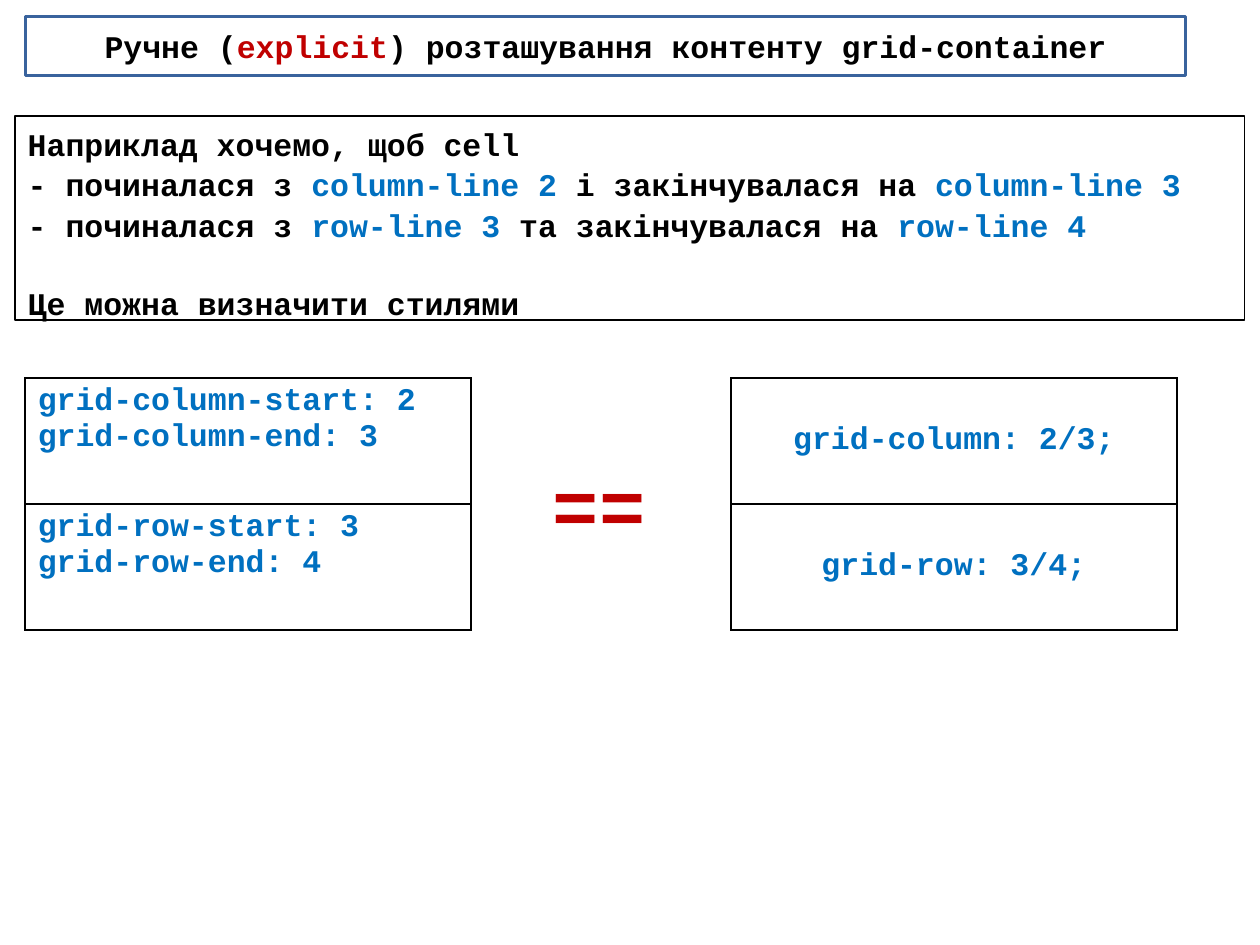
"""Build a slide on explicit placement of content in a CSS grid container."""
import lxml.etree
import pptx
import pptx.dml.color
import pptx.enum.text
import pptx.oxml.ns
import pptx.util

Inches = pptx.util.Inches
Pt = pptx.util.Pt
ALIGN = pptx.enum.text.PP_ALIGN
ANCHOR = pptx.enum.text.MSO_ANCHOR
qn = pptx.oxml.ns.qn

COLORS = {
    "black": "000000",
    "blue": "0070C0",
    "red": "C00000",
    "white": "FFFFFF",
    "frame": "39639D",
}


def color(name):
    return pptx.dml.color.RGBColor.from_string(COLORS[name])


def place(shape, left, top, width, height):
    shape.left, shape.top = Inches(left), Inches(top)
    shape.width, shape.height = Inches(width), Inches(height)


def outline(shape, name, width):
    shape.line.color.rgb = color(name)
    shape.line.width = Pt(width)


def write_paragraphs(frame, lines, align=ALIGN.LEFT, size=18):
    """Write each line, a list of (text, color name) pairs, as a paragraph."""
    for index, line in enumerate(lines):
        paragraph = frame.paragraphs[0] if index == 0 else frame.add_paragraph()
        paragraph.alignment = align
        paragraph.font.name = "Courier New"
        paragraph.font.size = Pt(size)
        paragraph.font.bold = True
        for text, name in line:
            run = paragraph.add_run()
            run.text = text
            run.font.color.rgb = color(name)


def fill_title(shape):
    place(shape, 0.2, 0.13, 9.21, 0.47)
    shape.fill.solid()
    shape.fill.fore_color.rgb = color("white")
    outline(shape, "frame", 1.5)
    frame = shape.text_frame
    frame.auto_size = pptx.enum.text.MSO_AUTO_SIZE.NONE
    frame.vertical_anchor = ANCHOR.MIDDLE
    write_paragraphs(frame, [[
        ("Ручне (", "black"),
        ("explicit", "red"),
        (") розташування контенту grid-container", "black"),
    ]], ALIGN.CENTER)


def fill_body(shape):
    place(shape, 0.12, 0.92, 9.76, 1.62)
    outline(shape, "black", 0.75)
    frame = shape.text_frame
    frame.auto_size = pptx.enum.text.MSO_AUTO_SIZE.NONE
    write_paragraphs(frame, [
        [("Наприклад хочемо, щоб cell", "black")],
        [("- починалася з ", "black"), ("column-line 2 ", "blue"),
         ("і закінчувалася на ", "black"), ("column-line 3", "blue")],
        [("- починалася з ", "black"), ("row-line 3 ", "blue"),
         ("та закінчувалася на ", "black"), ("row-line 4", "blue")],
        [("Це можна визначити стилями", "black")],
    ])
    for paragraph in frame.paragraphs:
        paragraph.line_spacing = 1.07
        paragraph.space_before = Pt(0)
        properties = paragraph._p.get_or_add_pPr()
        properties.set("marL", "0")
        properties.set("indent", "0")
        lxml.etree.SubElement(properties, qn("a:buNone"))
        properties.append(properties.find(qn("a:defRPr")))
    frame.paragraphs[-1].space_before = Pt(21.8)


def add_borders(cell):
    properties = cell._tc.get_or_add_tcPr()
    for side in ("a:lnL", "a:lnR", "a:lnT", "a:lnB"):
        line = lxml.etree.SubElement(properties, qn(side), w=str(Pt(1)))
        fill = lxml.etree.SubElement(line, qn("a:solidFill"))
        lxml.etree.SubElement(fill, qn("a:srgbClr"), val=COLORS["black"])


def add_style_table(slide, left, rows, align, anchor):
    """Add a one-column table of CSS declarations, one list of lines per row."""
    shape = slide.shapes.add_table(
        len(rows), 1, Inches(left), Inches(3), Inches(3.54), Inches(len(rows)))
    table = shape.table
    table.first_row = False
    table.horz_banding = False
    for index, lines in enumerate(rows):
        cell = table.cell(index, 0)
        add_borders(cell)
        cell.fill.background()
        cell.vertical_anchor = anchor
        write_paragraphs(
            cell.text_frame, [[(line, "blue")] for line in lines], align)


def add_equals(slide):
    shape = slide.shapes.add_textbox(
        Inches(4.29), Inches(3.58), Inches(0.94), Inches(0.84))
    shape.text_frame.word_wrap = False
    write_paragraphs(shape.text_frame, [[("==", "red")]], size=44)


def main():
    presentation = pptx.Presentation()
    presentation.slide_width = Inches(10)
    presentation.slide_height = Inches(7.5)
    slide = presentation.slides.add_slide(presentation.slide_layouts[1])
    fill_body(slide.placeholders[1])
    fill_title(slide.shapes.title)
    add_style_table(slide, 0.2, [
        ["grid-column-start: 2", "grid-column-end: 3"],
        ["grid-row-start: 3", "grid-row-end: 4"],
    ], ALIGN.LEFT, ANCHOR.TOP)
    add_style_table(
        slide, 5.8, [["grid-column: 2/3;"], ["grid-row: 3/4;"]],
        ALIGN.CENTER, ANCHOR.MIDDLE)
    add_equals(slide)
    presentation.save("out.pptx")


if __name__ == "__main__":
    main()
